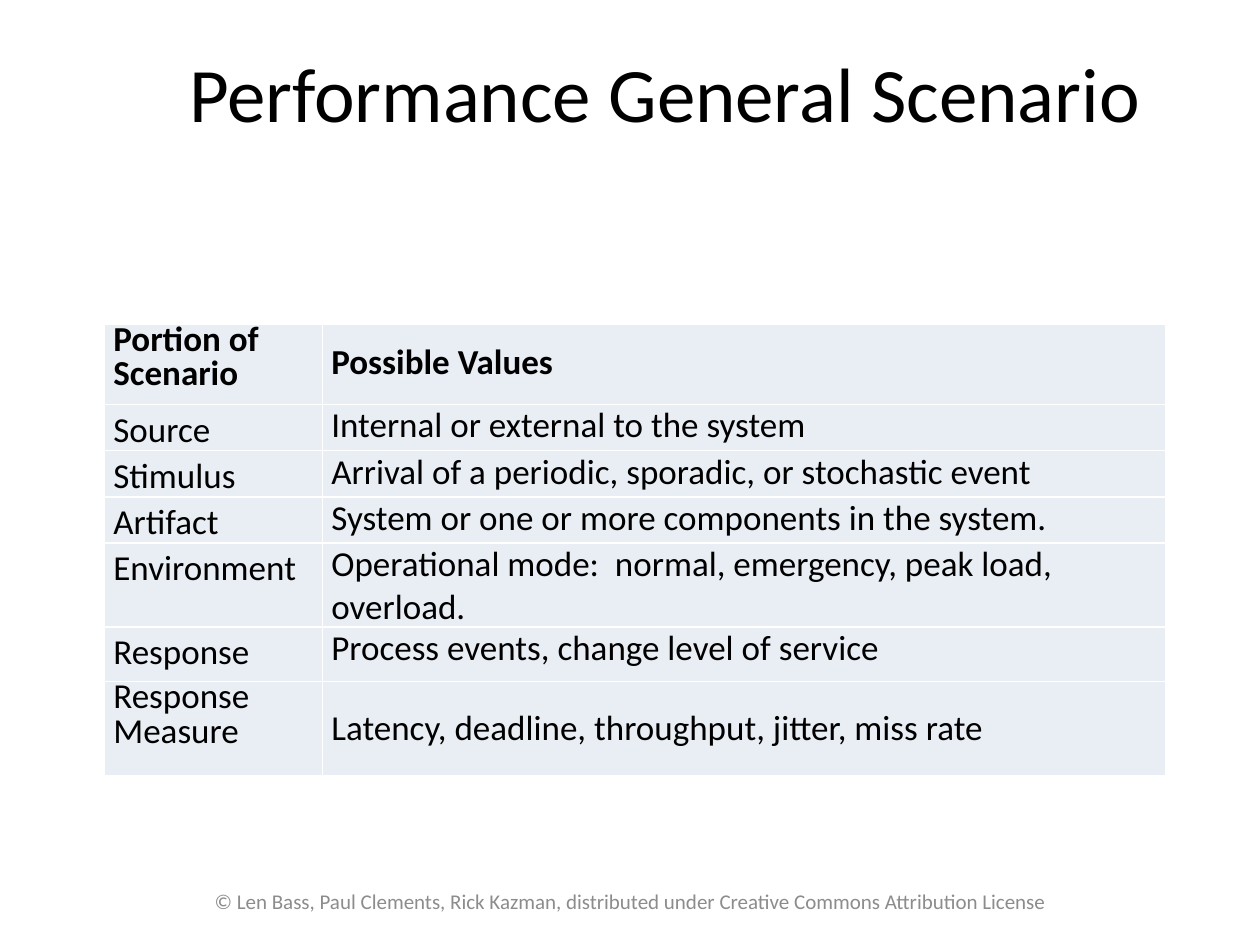
"""Build the Performance General Scenario slide with its table of scenario portions."""
from dataclasses import dataclass

from lxml import etree
from pptx import Presentation
from pptx.dml.color import RGBColor
from pptx.enum.text import MSO_ANCHOR, PP_ALIGN
from pptx.oxml.ns import qn
from pptx.util import Inches, Pt

TOP, MIDDLE = MSO_ANCHOR.TOP, MSO_ANCHOR.MIDDLE
CENTER = PP_ALIGN.CENTER


@dataclass(frozen=True)
class Theme:
    font: str = "Calibri"
    ink: str = "000000"
    muted: str = "8C8C8C"
    cell: str = "E9EDF4"
    border: str = "FFFFFF"
    title_size: int = 44
    table_size: int = 20
    footer_size: int = 12


theme = Theme()


def write(frame, text, size, color, bold=False):
    frame.text = text
    paragraph = frame.paragraphs[0]
    font = paragraph.runs[0].font
    font.name, font.size, font.bold = theme.font, Pt(size), bold
    font.color.rgb = RGBColor.from_string(color)
    return paragraph


def add_borders(cell, color):
    properties = cell._tc.get_or_add_tcPr()
    for position, side in enumerate(("a:lnL", "a:lnR", "a:lnT", "a:lnB")):
        line = etree.Element(qn(side), w=str(Pt(1)))
        fill = etree.SubElement(line, qn("a:solidFill"))
        etree.SubElement(fill, qn("a:srgbClr"), val=color)
        properties.insert(position, line)


presentation = Presentation()
presentation.slide_width, presentation.slide_height = Inches(10), Inches(7.5)
slide = presentation.slides.add_slide(presentation.slide_layouts[6])

captions = [
    ("Performance General Scenario", (1.06, 0.3, 8.44, 0.85), theme.title_size, theme.ink),
    ("© Len Bass, Paul Clements, Rick Kazman, distributed under Creative Commons Attribution License",
     (1.54, 6.95, 6.93, 0.4), theme.footer_size, theme.muted),
]
for text, bounds, size, color in captions:
    caption = slide.shapes.add_textbox(*map(Inches, bounds)).text_frame
    caption.word_wrap = True
    caption.vertical_anchor = MIDDLE
    write(caption, text, size, color).alignment = CENTER

scenario_rows = [
    (0.64, "Portion of Scenario", 0.8, "Possible Values", 0.8, MIDDLE),
    (0.32, "Source", 1.1, "Internal or external to the system", 1.0, TOP),
    (0.32, "Stimulus", 1.1, "Arrival of a periodic, sporadic, or stochastic event", 1.0, TOP),
    (0.32, "Artifact", 1.1, "System or one or more components in the system.", 1.0, TOP),
    (0.64, "Environment", 1.1, "Operational mode:  normal, emergency, peak load, overload.", 1.0, TOP),
    (0.43, "Response", 1.1, "Process events, change level of service", 1.0, TOP),
    (0.75, "Response Measure", 0.8, "Latency, deadline, throughput, jitter, miss rate", 1.0, MIDDLE),
]
column_widths = (1.73, 6.69)
scenario = slide.shapes.add_table(
    len(scenario_rows), len(column_widths),
    Inches(0.83), Inches(2.57), Inches(sum(column_widths)), Inches(3.58),
).table
for column, width in zip(scenario.columns, column_widths):
    column.width = Inches(width)

for index, (height, portion, portion_spacing, values, values_spacing, anchor) in enumerate(scenario_rows):
    scenario.rows[index].height = Inches(height)
    entries = ((portion, portion_spacing, TOP), (values, values_spacing, anchor))
    for cell, (text, spacing, cell_anchor) in zip(scenario.rows[index].cells, entries):
        cell.margin_left = cell.margin_right = Inches(0.07)
        cell.margin_top = cell.margin_bottom = 0
        cell.vertical_anchor = cell_anchor
        cell.fill.solid()
        cell.fill.fore_color.rgb = RGBColor.from_string(theme.cell)
        add_borders(cell, theme.border)
        paragraph = write(cell.text_frame, text, theme.table_size, theme.ink, bold=index == 0)
        paragraph.line_spacing = spacing

presentation.save("out.pptx")
